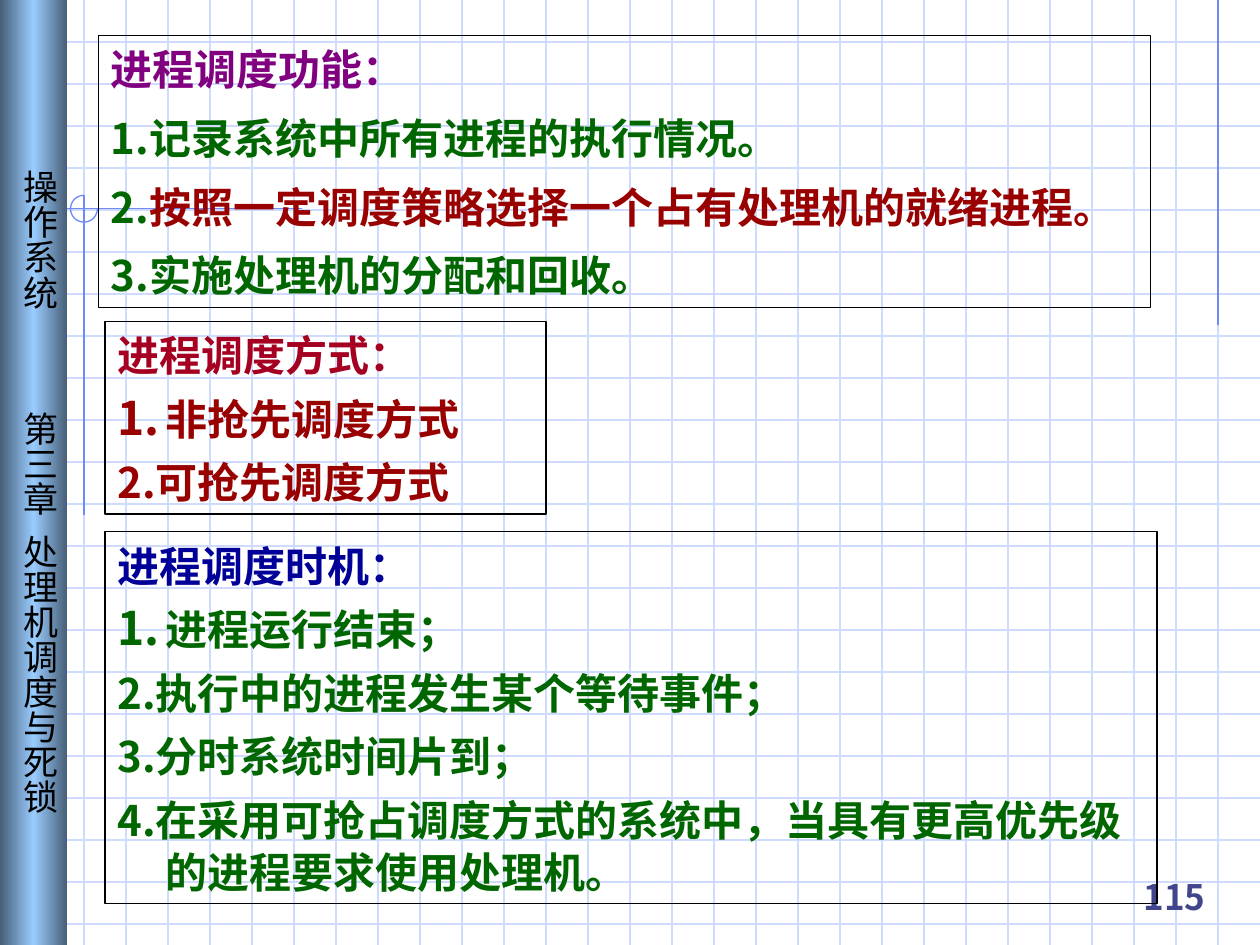
from lxml.etree import SubElement
from copy import deepcopy
from pptx import Presentation
from pptx.dml.color import RGBColor
from pptx.enum.shapes import MSO_CONNECTOR, MSO_SHAPE
from pptx.enum.text import MSO_ANCHOR, PP_ALIGN
from pptx.oxml.ns import qn
from pptx.util import Inches, Pt

COLS, ROWS = 30, 22.5
CELL = Inches(10) / COLS
FONT = "Noto Sans CJK SC"
GRID = RGBColor(0xCF, 0xDB, 0xFD)
ACCENT = RGBColor(0x6F, 0x89, 0xF7)
STEEL = RGBColor(0x47, 0x5E, 0x76)
SKY = RGBColor(0x99, 0xCC, 0xFF)
BLACK = RGBColor(0, 0, 0)
PURPLE = RGBColor(0x80, 0, 0x80)
GREEN = RGBColor(0, 0x66, 0)
RED = RGBColor(0x99, 0, 0)
CRIMSON = RGBColor(0xA5, 0, 0x21)
NAVY = RGBColor(0, 0, 0x99)
INDIGO = RGBColor(0x40, 0x45, 0x8C)

prs = Presentation()
prs.slide_width, prs.slide_height = int(COLS * CELL), int(ROWS * CELL)
s = prs.slides.add_slide(prs.slide_layouts[6])


def add_line(x1, y1, x2, y2, color):
    ln = s.shapes.add_connector(
        MSO_CONNECTOR.STRAIGHT, *(int(v * CELL) for v in (x1, y1, x2, y2)))
    ln.line.color.rgb = color
    ln.line.width = Pt(0.75)
    SubElement(ln._element.spPr, qn("a:effectLst"))


def add_text(p, text, size=24, color=BLACK, bold=True, font=FONT):
    r = p.add_run()
    r.text = text
    r.font.size = Pt(size)
    r.font.bold = bold
    r.font.color.rgb = color
    r.font.name = font
    SubElement(r._r.get_or_add_rPr(), qn("a:ea"), typeface=FONT)


for row in range(1, 23):
    add_line(0, row, COLS, row, GRID)
for col in range(1, COLS):
    add_line(col, 0, col, ROWS, GRID)

add_line(29, 0, 29, 7.74, ACCENT)
add_line(7.2, 4.97, 1.35, 4.97, ACCENT)
add_line(2, 4.65, 2, 12.27, ACCENT)
sp = s.shapes.add_shape(
    MSO_SHAPE.ARC, *(int(v * CELL) for v in (1.68, 4.65, 0.64, 0.64)))
sp.shadow.inherit = False
sp.adjustments[0], sp.adjustments[1] = 0, 162
sp.fill.background()
sp.line.color.rgb = ACCENT
sp.line.width = Pt(0.75)

sp = s.shapes.add_shape(MSO_SHAPE.RECTANGLE, 0, 0, int(1.6 * CELL), prs.slide_height)
sp.shadow.inherit = False
sp.line.fill.background()
sp.fill.gradient()
sp.fill.gradient_angle = 0
first = sp.fill.gradient_stops[0]._gs
first.addnext(deepcopy(first))
for stop, color, pos in zip(sp.fill.gradient_stops, (STEEL, SKY, STEEL), (0, 0.5, 1)):
    stop.color.rgb = color
    stop.position = pos
tf = sp.text_frame
tf.margin_left = tf.margin_right = Inches(0.05)
tf.margin_top = tf.margin_bottom = Inches(0.1)
tf.vertical_anchor = MSO_ANCHOR.TOP
tf._txBody.bodyPr.set("vert", "eaVert")
p = tf.paragraphs[0]
p.alignment = PP_ALIGN.LEFT
tabs = SubElement(p._p.get_or_add_pPr(), qn("a:tabLst"))
for pos in (3.75, 9.51, 12.42):
    SubElement(tabs, qn("a:tab"), pos=str(int(pos * CELL)), algn="l")
add_text(p, "\t操作系统\t第三章\t处理机调度与死锁", size=20, bold=False)

tf = s.shapes.add_textbox(
    *(int(v * CELL) for v in (26.5, 20.5, 2.5, 1.5))).text_frame
tf.word_wrap = True
tf.vertical_anchor = MSO_ANCHOR.BOTTOM
tf.paragraphs[0].alignment = PP_ALIGN.RIGHT
add_text(tf.paragraphs[0], "115", size=20, color=INDIGO)

boxes = [
    ((2.34, 0.84, 25.05, 6.48), 9, 0, None, [
        [("进程调度功能：", PURPLE)],
        [("1.记录系统中所有进程的执行情况。", GREEN)],
        [("2.", GREEN), ("按照一定调度策略选择一个占有处理机的就绪进程。", RED)],
        [("3.实施处理机的分配和回收。", GREEN)]]),
    ((2.5, 7.65, 10.5, 4.59), 6, 1.14, 1, [
        [("进程调度方式：", CRIMSON)],
        [("非抢先调度方式", RED)],
        [("2.可抢先调度方式", RED)]]),
    ((2.5, 12.66, 25.05, 8.85), 6, 1.14, 1, [
        [("进程调度时机：", NAVY)],
        [("进程运行结束；", GREEN)],
        [("2.执行中的进程发生某个等待事件；", GREEN)],
        [("3.分时系统时间片到；", GREEN)],
        [("4.在采用可抢占调度方式的系统中，当具有更高优先级的进程要求使用处理机。", GREEN)]]),
]
for at, gap, indent, numbered, paras in boxes:
    sp = s.shapes.add_shape(MSO_SHAPE.RECTANGLE, *(int(v * CELL) for v in at))
    sp.shadow.inherit = False
    sp.fill.background()
    sp.line.color.rgb = BLACK
    sp.line.width = Pt(0.75)
    tf = sp.text_frame
    tf.word_wrap = True
    tf.vertical_anchor = MSO_ANCHOR.TOP
    for i, runs in enumerate(paras):
        p = tf.add_paragraph() if i else tf.paragraphs[0]
        p.alignment = PP_ALIGN.LEFT
        p.line_spacing = 1.05
        p.space_before = Pt(gap if i else 0)
        pPr = p._p.get_or_add_pPr()
        pPr.set("marL", str(int(indent * CELL)))
        pPr.set("indent", str(int(-indent * CELL)))
        if i == numbered:
            SubElement(pPr, qn("a:buSzPct"), val="110000")
            SubElement(pPr, qn("a:buFont"), typeface=FONT)
            SubElement(pPr, qn("a:buAutoNum"), type="arabicPeriod")
        for text, color in runs:
            add_text(p, text, color=color)

prs.save("out.pptx")
